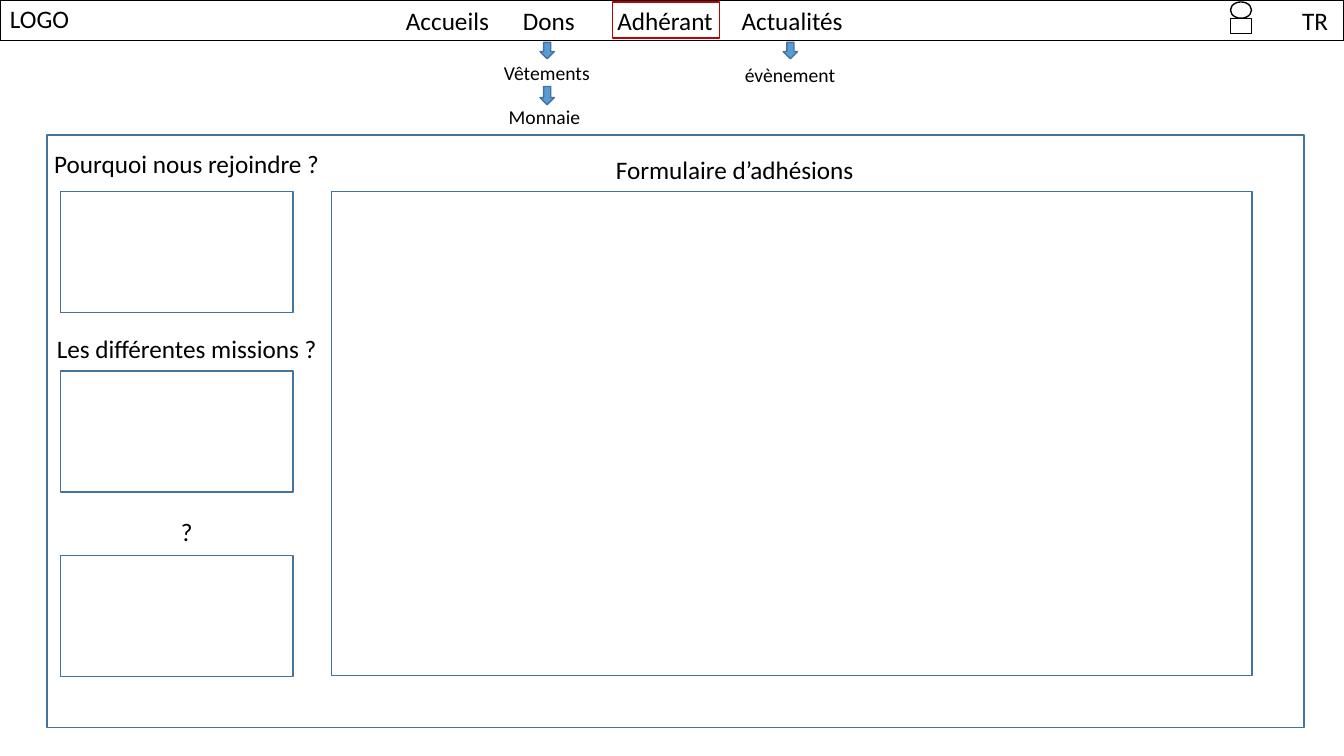
from lxml import etree
from pptx import Presentation, util as u
from pptx.dml.color import RGBColor
from pptx.enum import shapes as kinds, text as t
from pptx.oxml.ns import qn

COLORS = {"text": "000000", "paper": "FFFFFF", "outline": "43739E",
          "arrow": "5B9BD5", "active": "C00000"}
FONT = "Calibri"
LINE_HEIGHT = 1.02  # height of an 18 pt text box, in cm


def color(name):
    return RGBColor.from_string(COLORS[name])


def add_box(slide, left, top, width, height, kind="RECTANGLE", fill=None, line="outline"):
    shape = slide.shapes.add_shape(getattr(kinds.MSO_SHAPE, kind),
                                   u.Cm(left), u.Cm(top), u.Cm(width), u.Cm(height))
    shape.shadow.inherit = False
    if fill:
        shape.fill.solid()
        shape.fill.fore_color.rgb = color(fill)
    else:
        shape.fill.background()
    shape.line.color.rgb = color(line)
    shape.line.width = u.Pt(1)
    return shape


def add_text(slide, content, left, top, width, height=LINE_HEIGHT, size=18,
             centered=False, shape=None):
    """Write into the given placeholder, or into a new text box."""
    if shape is None:
        shape = slide.shapes.add_textbox(0, 0, 0, 0)
    shape.left, shape.top = u.Cm(left), u.Cm(top)
    shape.width, shape.height = u.Cm(width), u.Cm(height)
    frame = shape.text_frame
    frame.word_wrap = True
    frame.auto_size = t.MSO_AUTO_SIZE.NONE
    frame.vertical_anchor = t.MSO_ANCHOR.TOP
    paragraph = frame.paragraphs[0]
    paragraph.alignment = t.PP_ALIGN.CENTER if centered else t.PP_ALIGN.LEFT
    run = paragraph.add_run()
    run.text = content
    run.font.name = FONT
    run.font.size = u.Pt(size)
    run.font.color.rgb = color("text")
    return paragraph


def set_tabs(paragraph, positions):
    tabs = etree.SubElement(paragraph._p.get_or_add_pPr(), qn("a:tabLst"))
    for position in positions:
        etree.SubElement(tabs, qn("a:tab"), pos=str(u.Cm(position)), algn="l")


def draw_navigation_bar(slide, left, top, width, height):
    add_text(slide, "LOGO", left, top - 0.05, 2.39)
    menu = add_text(slide, "Accueils\tDons\tAdhérant\tActualités", left + 9.98, top, 11.66)
    set_tabs(menu, [2.95, 5.33, 8.46])
    # User icon: head and body
    add_box(slide, left + 31.01, top + 0.05, 0.53, 0.41, "OVAL", "paper", "text")
    add_box(slide, left + 31.01, top + 0.46, 0.53, 0.38, fill="paper", line="text")
    add_box(slide, left, top, width, height, line="text")
    add_text(slide, "TR", left + 32.39, top, 1.5, centered=True)
    # Current page
    add_box(slide, left + 15.44, top + 0.05, 2.69, 0.91, line="active")


def draw_submenus(slide, left, top):
    # Arrow left, arrow top, arrow height, label, label left, label top, label width
    entries = [
        (13.61, 0.05, 0.41, "Vêtements", 12.45, 0.4, 3.35),
        (13.61, 1.16, 0.46, "Monnaie", 12.57, 1.49, 3.07),
        (19.74, 0.05, 0.41, "évènement", 18.52, 0.45, 2.84),
    ]
    for arrow_left, arrow_top, arrow_height, label, label_left, label_top, width in entries:
        add_box(slide, left + arrow_left, top + arrow_top, 0.36, arrow_height,
                "DOWN_ARROW", "arrow")
        add_text(slide, label, left + label_left, top + label_top, width, 0.86, size=14)


def draw_membership_page(slide, left, top, width, height):
    add_box(slide, left, top, width, height)
    # Side column: heading, heading offset, box offset
    sections = [("Pourquoi nous rejoindre ?", 0.21, 1.43),
                ("Les différentes missions ?", 4.88, 5.95),
                ("?", 9.48, 10.6)]
    for heading, heading_top, box_top in sections:
        add_text(slide, heading, left - 0.17, top + heading_top, 7.37, centered=True)
        add_box(slide, left + 0.33, top + box_top, 5.87, 3.05)
    # Form
    add_text(slide, "Formulaire d’adhésions", left + 13.64, top + 0.36, 7.37,
             centered=True, shape=slide.shapes.title)
    add_box(slide, left + 7.17, top + 1.43, 23.19, 12.19)


def main():
    presentation = Presentation()
    presentation.slide_width, presentation.slide_height = u.Cm(33.87), u.Cm(19.05)
    slide = presentation.slides.add_slide(presentation.slide_layouts[5])  # Title only
    draw_navigation_bar(slide, 0, 0, 33.87, LINE_HEIGHT)
    draw_submenus(slide, 0, LINE_HEIGHT)
    draw_membership_page(slide, 1.19, 3.4, 31.67, 14.94)
    presentation.save("out.pptx")


if __name__ == "__main__":
    main()
